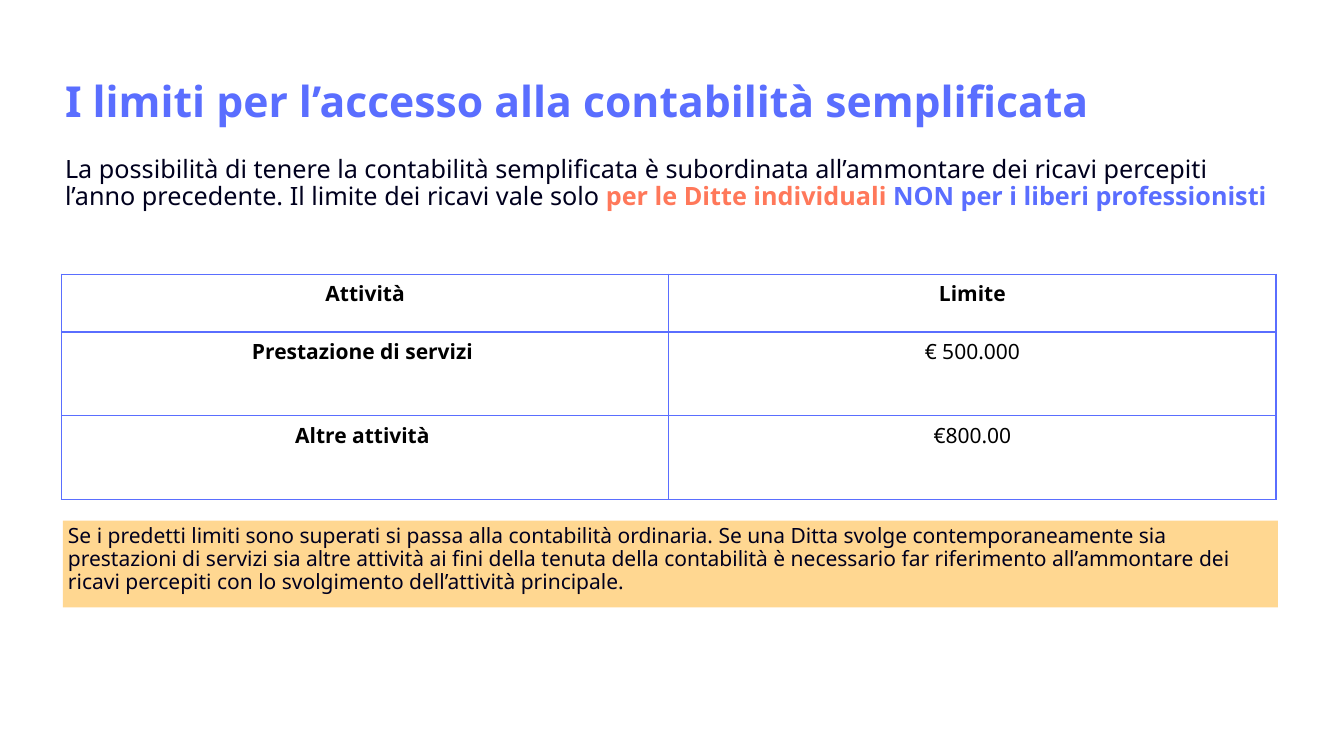
from pptx import Presentation
from pptx.dml import color
from pptx.enum import shapes, text
from pptx.oxml import parse_xml
from pptx.oxml import ns
from pptx.util import Inches, Pt

# Content: runs are (words, colour, bold)
TITLE = [("I limiti per l’accesso alla contabilità semplificata", "blue", True)]
INTRO = [
    ("La possibilità di tenere la contabilità semplificata è subordinata "
     "all’ammontare dei ricavi percepiti l’anno precedente. "
     "Il limite dei ricavi vale solo ", "ink", False),
    ("per le Ditte individuali ", "coral", True),
    ("NON per i liberi professionisti", "blue", True),
]
LIMITS = [
    ("Attività", "Limite"),
    ("Prestazione di servizi ", "€ 500.000"),
    ("Altre attività ", "€800.00"),
]
NOTE = [
    ("Se i predetti limiti sono superati si passa alla contabilità ordinaria. "
     "Se una Ditta svolge contemporaneamente sia prestazioni di servizi sia "
     "altre attività ai fini della tenuta della contabilità è necessario far "
     "riferimento all’ammontare dei ricavi percepiti con lo svolgimento "
     "dell’attività principale.", "ink", False),
]

THEME = {
    "font": "Noto Sans",
    "sizes": {"title": 61, "intro": 36, "small": 30},
    "colors": {"blue": "5A6EFF", "coral": "FF785A", "ink": "00001E",
               "black": "000000", "sand": "FFD791"},
    "inset": Inches(0.1),
    "border": Pt(2.25),
}
COLUMN_WIDTH = 12.05
ROW_HEIGHTS = [1.15, 1.66, 1.66]


def rgb(name):
    return color.RGBColor.from_string(THEME["colors"][name])


def set_insets(target):
    for side in ("left", "top", "right", "bottom"):
        setattr(target, f"margin_{side}", THEME["inset"])


def write(frame, runs, size, align=text.PP_ALIGN.LEFT, spacing=1.0):
    para = frame.paragraphs[0]
    para.alignment = align
    para.line_spacing = spacing
    para.space_before = para.space_after = Pt(0)
    for words, tone, bold in runs:
        span = para.add_run()
        span.text = words
        span.font.name = THEME["font"]
        span.font.size = Pt(THEME["sizes"][size])
        span.font.bold = bold
        span.font.color.rgb = rgb(tone)
    return para


def fill_box(box, place, runs, size, anchor, spacing):
    box.left, box.top, box.width, box.height = map(Inches, place)
    frame = box.text_frame
    frame.word_wrap = True
    frame.auto_size = text.MSO_AUTO_SIZE.NONE
    frame.vertical_anchor = anchor
    set_insets(frame)
    return write(frame, runs, size, spacing=spacing)


def remove_bullet(para):
    props = para._p.get_or_add_pPr()
    props.set("marL", "0")
    props.set("indent", "0")
    props.append(parse_xml(f"<a:buNone {ns.nsdecls('a')}/>"))


def add_borders(cell):
    props = cell._tc.get_or_add_tcPr()
    for index, edge in enumerate(("lnL", "lnR", "lnT", "lnB")):
        props.insert(index, parse_xml(
            f'<a:{edge} {ns.nsdecls("a")} w="{THEME["border"]}"><a:solidFill>'
            f'<a:srgbClr val="{THEME["colors"]["blue"]}"/>'
            f'</a:solidFill></a:{edge}>'))


def add_limits_table(page, left, top):
    columns = len(LIMITS[0])
    table = page.shapes.add_table(
        len(LIMITS), columns, Inches(left), Inches(top),
        Inches(COLUMN_WIDTH * columns), Inches(sum(ROW_HEIGHTS))).table
    table.first_row = table.horz_banding = False
    for column in table.columns:
        column.width = Inches(COLUMN_WIDTH)
    for r, (row, height) in enumerate(zip(LIMITS, ROW_HEIGHTS)):
        table.rows[r].height = Inches(height)
        for c, words in enumerate(row):
            cell = table.cell(r, c)
            cell.fill.background()
            set_insets(cell)
            # Headings are the first row and the first column
            write(cell.text_frame, [(words, "black", r == 0 or c == 0)],
                  "small", text.PP_ALIGN.CENTER)
            add_borders(cell)


def main():
    deck = Presentation()
    deck.slide_width, deck.slide_height = Inches(26.67), Inches(15)
    page = deck.slides.add_slide(deck.slide_layouts[1])
    top, middle = text.MSO_ANCHOR.TOP, text.MSO_ANCHOR.MIDDLE

    # Title and introduction
    fill_box(page.shapes.title, (1.19, 1, 24.17, 2), TITLE, "title", middle, 1.0)
    intro = fill_box(page.placeholders[1], (1.19, 3, 24.17, 2.02),
                     INTRO, "intro", top, 0.9)
    remove_bullet(intro)

    # Revenue limits
    add_limits_table(page, 1.22, 5.44)

    # Highlighted note
    place = (1.25, 10.33, 24.11, 1.72)
    note = page.shapes.add_shape(shapes.MSO_SHAPE.RECTANGLE, *map(Inches, place))
    note.shadow.inherit = False
    note.fill.solid()
    note.fill.fore_color.rgb = rgb("sand")
    note.line.fill.background()
    fill_box(note, place, NOTE, "small", top, 0.9)

    deck.save("out.pptx")


if __name__ == "__main__":
    main()
